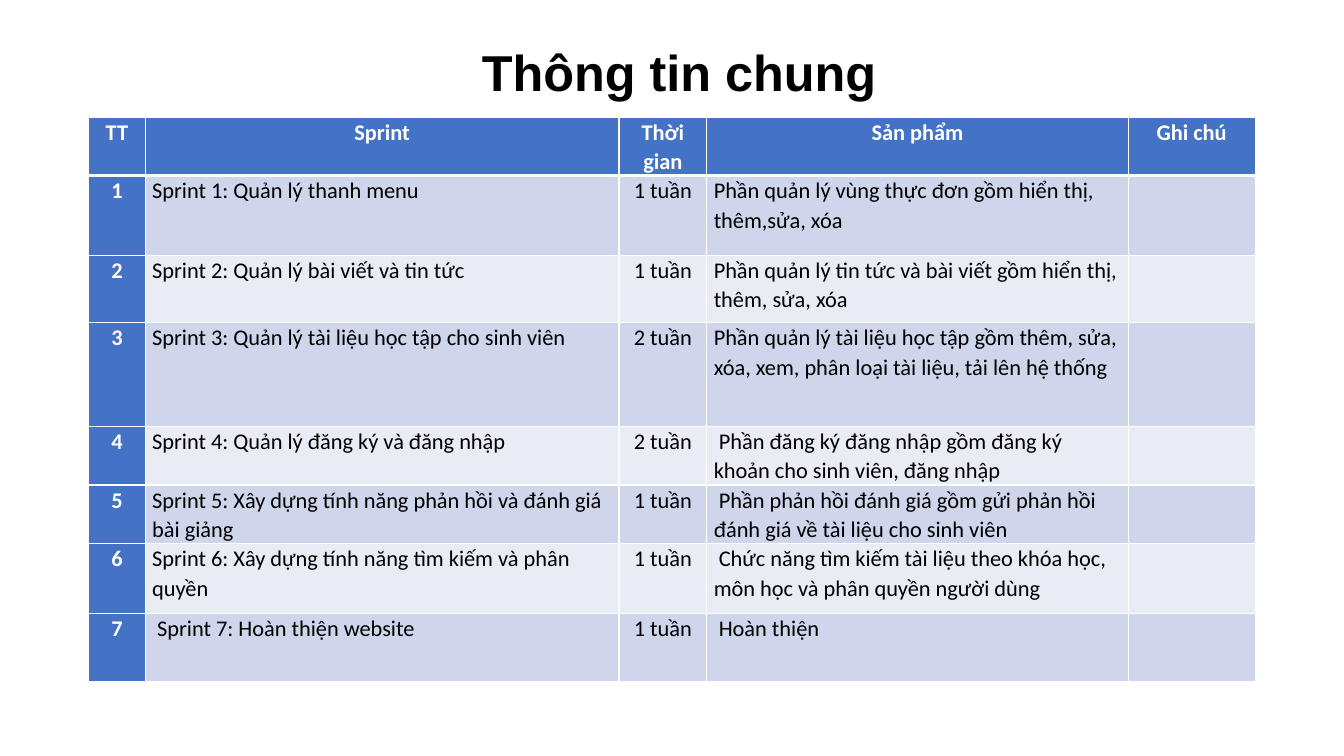
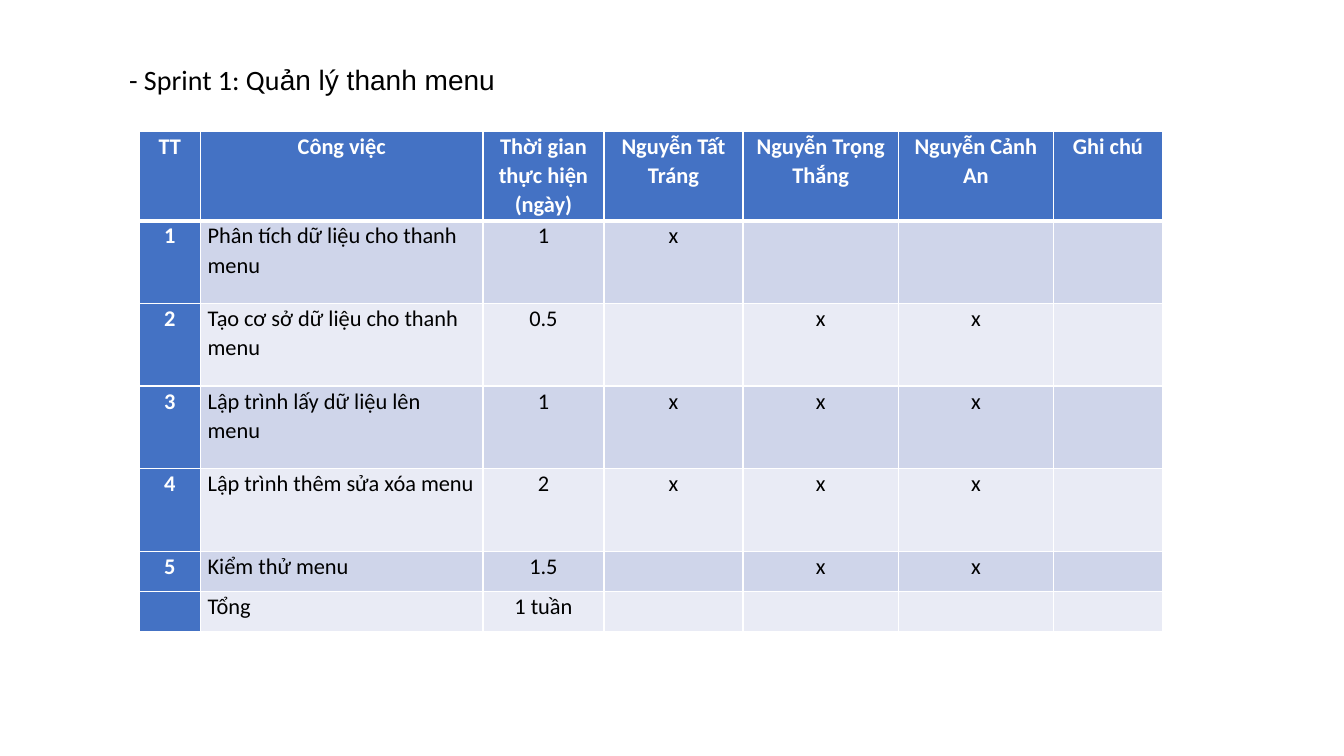
from lxml import etree
from pptx import Presentation
from pptx import util as u
from pptx.dml.color import RGBColor
from pptx.enum import text
from pptx.oxml.ns import qn

COLORS = {"ink": "000000", "paper": "FFFFFF", "head": "4472C4",
          "band_dark": "CFD5EA", "band_light": "E9EBF5"}
BODY_FONT, TITLE_FONT = "Calibri", "Arial"
TITLE_ONLY = 5
LEFT, CENTER = text.PP_ALIGN.LEFT, text.PP_ALIGN.CENTER

SPRINT_ROWS = [
    ["TT", "Sprint", "Thời gian", "Sản phẩm", "Ghi chú"],
    ["1", "Sprint 1: Quản lý thanh menu", "1 tuần",
     "Phần quản lý vùng thực đơn gồm hiển thị, thêm,sửa, xóa", ""],
    ["2", "Sprint 2: Quản lý bài viết và tin tức", "1 tuần",
     "Phần quản lý tin tức và bài viết gồm hiển thị, thêm, sửa, xóa", ""],
    ["3", "Sprint 3: Quản lý tài liệu học tập cho sinh viên", "2 tuần",
     "Phần quản lý tài liệu học tập gồm thêm, sửa, xóa, xem, phân loại tài liệu, "
     "tải lên hệ thống", ""],
    ["4", "Sprint 4: Quản lý đăng ký và đăng nhập", "2 tuần",
     " Phần đăng ký đăng nhập gồm đăng ký khoản cho sinh viên, đăng nhập", ""],
    ["5", "Sprint 5: Xây dựng tính năng phản hồi và đánh giá bài giảng", "1 tuần",
     " Phần phản hồi đánh giá gồm gửi phản hồi đánh giá về tài liệu cho sinh viên", ""],
    ["6", "Sprint 6: Xây dựng tính năng tìm kiếm và phân quyền", "1 tuần",
     " Chức năng tìm kiếm tài liệu theo khóa học, môn học và phân quyền người dùng", ""],
    ["7", " Sprint 7: Hoàn thiện website", "1 tuần", " Hoàn thiện", ""],
]

TASK_ROWS = [
    ["TT", "Công việc", "Thời gian thực hiện (ngày)", "Nguyễn Tất Tráng",
     "Nguyễn Trọng Thắng", "Nguyễn Cảnh An", "Ghi chú"],
    ["1", "Phân tích dữ liệu cho thanh menu", "1", "x", "", "", ""],
    ["2", "Tạo cơ sở dữ liệu cho thanh menu", "0.5", "", "x", "x", ""],
    ["3", "Lập trình lấy dữ liệu lên menu", "1", "x", "x", "x", ""],
    ["4", "Lập trình thêm sửa xóa menu", "2", "x", "x", "x", ""],
    ["5", "Kiểm thử menu", "1.5", "", "x", "x", ""],
    ["", "Tổng", "1 tuần", "", "", "", ""],
]


def color(name):
    return RGBColor.from_string(COLORS[name])


def add_span(para, words, font, size, ink, bold=False):
    span = para.add_run()
    span.text = words
    span.font.name, span.font.size, span.font.bold = font, u.Pt(size), bold
    span.font.color.rgb = color(ink)


def place_title(page, box, spans, size, bold=False):
    """Move the title into the box and fill it with (words, font) spans."""
    title = page.shapes.title
    title.left, title.top, title.width, title.height = map(u.Inches, box)
    frame = title.text_frame
    frame.auto_size = text.MSO_AUTO_SIZE.NONE
    frame.word_wrap = True
    frame.vertical_anchor = text.MSO_ANCHOR.MIDDLE
    para = frame.paragraphs[0]
    para.alignment, para.line_spacing = LEFT, 0.9
    for words, font in spans:
        add_span(para, words, font, size, "ink", bold)


def set_borders(cell, widths):
    """Draw white borders; widths in points for left, right, top, bottom."""
    properties = cell._tc.get_or_add_tcPr()
    for index, (side, width) in enumerate(zip("LRTB", widths)):
        line = etree.Element(qn(f"a:ln{side}"), w=str(u.Pt(width)))
        fill = etree.SubElement(line, qn("a:solidFill"))
        etree.SubElement(fill, qn("a:srgbClr"), val=COLORS["paper"])
        properties.insert(index, line)


def fill_cell(cell, words, row, column, left_columns):
    is_head = row == 0 or column == 0
    cell.margin_left = cell.margin_right = u.Inches(0.07)
    cell.margin_top = cell.margin_bottom = 0
    cell.fill.solid()
    band = "band_dark" if row % 2 else "band_light"
    cell.fill.fore_color.rgb = color("head" if is_head else band)
    # The rule under the header row is heavier
    set_borders(cell, (1, 1, 3 if row == 1 else 1, 3 if row == 0 else 1))
    if words:
        para = cell.text_frame.paragraphs[0]
        para.alignment = LEFT if row and column in left_columns else CENTER
        para.line_spacing, para.space_after = 1.07, u.Pt(8)
        add_span(para, words, BODY_FONT, 16, "paper" if is_head else "ink", is_head)


def place_table(page, corner, widths, heights, rows, left_columns):
    left, top = corner
    box = map(u.Inches, (left, top, sum(widths), sum(heights)))
    table = page.shapes.add_table(len(rows), len(widths), *box).table
    for column, width in zip(table.columns, widths):
        column.width = u.Inches(width)
    for line, height in zip(table.rows, heights):
        line.height = u.Inches(height)
    for row, entries in enumerate(rows):
        for column, words in enumerate(entries):
            fill_cell(table.cell(row, column), words, row, column, left_columns)


def add_page(deck):
    return deck.slides.add_slide(deck.slide_layouts[TITLE_ONLY])


def build_overview(deck):
    page = add_page(deck)
    place_title(page, (4.68, 0.39, 4.82, 0.71),
                [("Thông tin chung", TITLE_FONT)], 36, bold=True)
    place_table(page, (0.88, 1.16), [0.56, 4.7, 0.87, 4.18, 1.26],
                [0.58, 0.79, 0.67, 1.03, 0.57, 0.58, 0.69, 0.68],
                SPRINT_ROWS, left_columns=(1, 3))


def build_sprint(deck):
    page = add_page(deck)
    place_title(page, (1.18, 0.31, 11.5, 0.99),
                [("- Sprint 1: Qu", BODY_FONT), ("ản lý thanh menu", TITLE_FONT)], 20)
    place_table(page, (1.38, 1.3), [0.61, 2.8, 1.2, 1.38, 1.54, 1.54, 1.08],
                [0.89] + [0.82] * 4 + [0.4] * 2, TASK_ROWS, left_columns=(1,))


def main():
    deck = Presentation()
    deck.slide_width, deck.slide_height = u.Inches(13.33), u.Inches(7.5)
    build_overview(deck)
    build_sprint(deck)
    deck.save("out.pptx")


if __name__ == "__main__":
    main()
